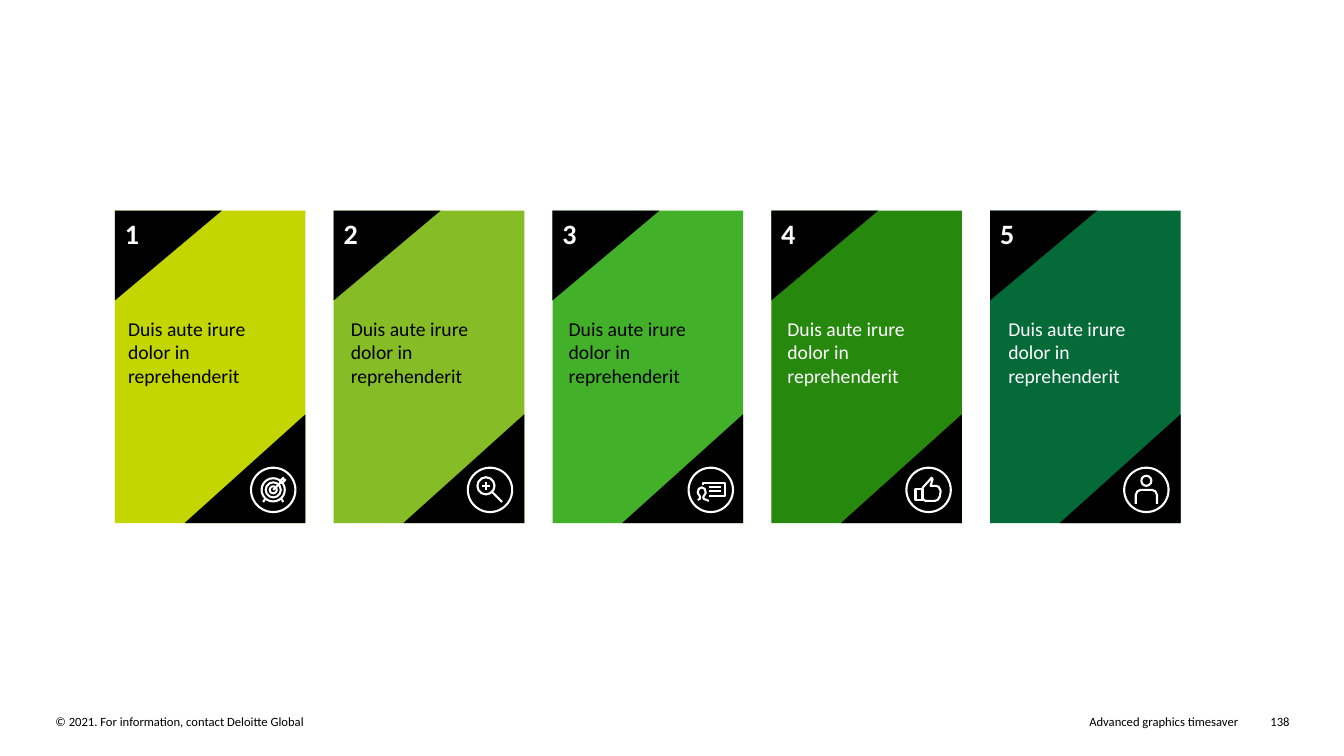
from pptx import Presentation
from pptx import util as u
from pptx.dml.color import RGBColor
from pptx.enum import shapes, text
from pptx.util import Inches

INK = {"black": "000000", "white": "FFFFFF", "lime": "C4D600", "grass": "86BC25",
       "green": "43B02A", "leaf": "26890D", "pine": "046A38"}
KIND = shapes.MSO_SHAPE
ALIGN = text.PP_ALIGN
PHRASE = "Duis aute irure dolor in reprehenderit"
STROKE = 1.5

# Icon parts in hundredths of an inch from the icon's centre:
# rings are (x, y, radius); paths are (points, closed).
TARGET = {
    "rings": [(0, 0, 11.5), (0, 0, 7.5), (0, 0, 3.5)],
    "paths": [([(0, 0), (8, -8)], False),
              ([(7, -7), (7, -9), (10, -12), (10, -10), (12, -10), (9, -7)], True),
              ([(-8, 9), (-10, 12)], False),
              ([(8, 9), (10, 12)], False)]}
LENS = {
    "rings": [(-4, -4, 8.5)],
    "paths": [([(2, 2), (12, 12)], False),
              ([(-8, -4), (0, -4)], False),
              ([(-4, -8), (-4, 0)], False)]}
BOARD = {
    "rings": [],
    "paths": [([(-8, -5), (-8, -7), (14, -7), (14, 6), (-2, 6)], False),
              ([(-2, -3), (10, -3)], False),
              ([(-2, 1), (10, 1)], False),
              ([(-13, 10), (-11, 9), (-10.5, 7), (-13, 3), (-12, -1), (-9, -2.5),
                (-6, -1), (-5, 3), (-7.5, 7), (-7, 9), (-4, 10), (-2, 11)], False)]}
THUMB = {
    "rings": [],
    "paths": [([(-13, -1), (-6, -1), (-6, 10), (-13, 10)], True),
              ([(-6, -2), (3, -12), (4, -10.5), (2, -4), (7, -4), (10, -3), (12, 1),
                (11, 7), (9, 10), (6, 11), (-3, 11), (-6, 9)], True)]}
PERSON = {
    "rings": [(0, -9, 5)],
    "paths": [([(-10.5, 14), (-10.5, 5), (-9, 1.5), (-5.5, 0), (5.5, 0), (9, 1.5),
                (10.5, 5), (10.5, 14)], False)]}

# fill, text colour, text inset, icon centre from the card's left, icon
CARDS = [("lime", "black", 0.13, 1.57, TARGET),
         ("grass", "black", 0.17, 1.55, LENS),
         ("green", "black", 0.16, 1.57, BOARD),
         ("leaf", "white", 0.16, 1.56, THUMB),
         ("pine", "white", 0.18, 1.55, PERSON)]


def rgb(name):
    return RGBColor.from_string(INK[name])


def write(frame, words, size=9, color="black", bold=False, align=ALIGN.LEFT,
          anchor=text.MSO_ANCHOR.TOP, inset=0, wrap=True):
    frame.word_wrap = wrap
    frame.vertical_anchor = anchor
    frame.margin_left = frame.margin_right = Inches(inset)
    frame.margin_top = frame.margin_bottom = Inches(inset / 2)
    para = frame.paragraphs[0]
    para.text, para.alignment = words, align
    font = para.font
    font.name, font.size, font.bold = "Calibri", u.Pt(size), bold
    font.color.rgb = rgb(color)


def label(slide, box, words, **style):
    area = slide.shapes.add_textbox(*map(Inches, box))
    write(area.text_frame, words, **style)


def block(slide, kind, box, color):
    shape = slide.shapes.add_shape(kind, *map(Inches, box))
    shape.shadow.inherit = False
    shape.fill.solid()
    shape.fill.fore_color.rgb = rgb(color)
    shape.line.fill.background()
    return shape


def outline(shape):
    shape.shadow.inherit = False
    shape.fill.background()
    shape.line.color.rgb = rgb("white")
    shape.line.width = u.Pt(STROKE)


def ring(slide, x, y, radius):
    box = (x - radius, y - radius, 2 * radius, 2 * radius)
    outline(slide.shapes.add_shape(KIND.OVAL, *map(Inches, box)))


def draw(slide, x, y, icon):
    """Place a ringed icon centred on x, y."""
    ring(slide, x, y, 0.22)
    for dx, dy, radius in icon["rings"]:
        ring(slide, x + dx / 100, y + dy / 100, radius / 100)
    for points, closed in icon["paths"]:
        spots = [(Inches(x + dx / 100), Inches(y + dy / 100)) for dx, dy in points]
        form = slide.shapes.build_freeform(*spots[0])
        form.add_line_segments(spots[1:], close=closed)
        outline(form.convert_to_shape())


def card(slide, box, number, fill, ink, inset, middle, icon):
    left, top, width, height = box
    block(slide, KIND.RECTANGLE, box, fill)
    flag = block(slide, KIND.DIAGONAL_STRIPE, (left, top, 1.06, 0.89), "black")
    flag.adjustments[0] = 0
    write(flag.text_frame, str(number), size=20, color="white", bold=True,
          anchor=text.MSO_ANCHOR.MIDDLE, inset=0.1, wrap=False)
    corner = block(slide, KIND.ISOSCELES_TRIANGLE,
                   (left + width - 1.2, top + height - 1.08, 1.2, 1.08), "black")
    corner.adjustments[0] = 1
    label(slide, (left + inset, top + 1.05, 1.55, 0.71), PHRASE, size=14, color=ink)
    draw(slide, left + middle, top + 2.77, icon)


def footer(slide, top):
    label(slide, (0.55, top, 5.86, 0.15),
          "© 2021. For information, contact Deloitte Global")
    label(slide, (6.93, top, 5.35, 0.15), "Advanced graphics timesaver",
          align=ALIGN.RIGHT)
    label(slide, (12.45, top, 0.34, 0.15), "138", align=ALIGN.RIGHT)


def main():
    deck = Presentation()
    deck.slide_width, deck.slide_height = Inches(13.33), Inches(7.5)
    slide = deck.slides.add_slide(deck.slide_layouts[6])
    footer(slide, 7.08)
    for index, parts in enumerate(CARDS):
        card(slide, (1.14 + 2.17 * index, 2.09, 1.89, 3.1), index + 1, *parts)
    deck.save("out.pptx")


if __name__ == "__main__":
    main()
